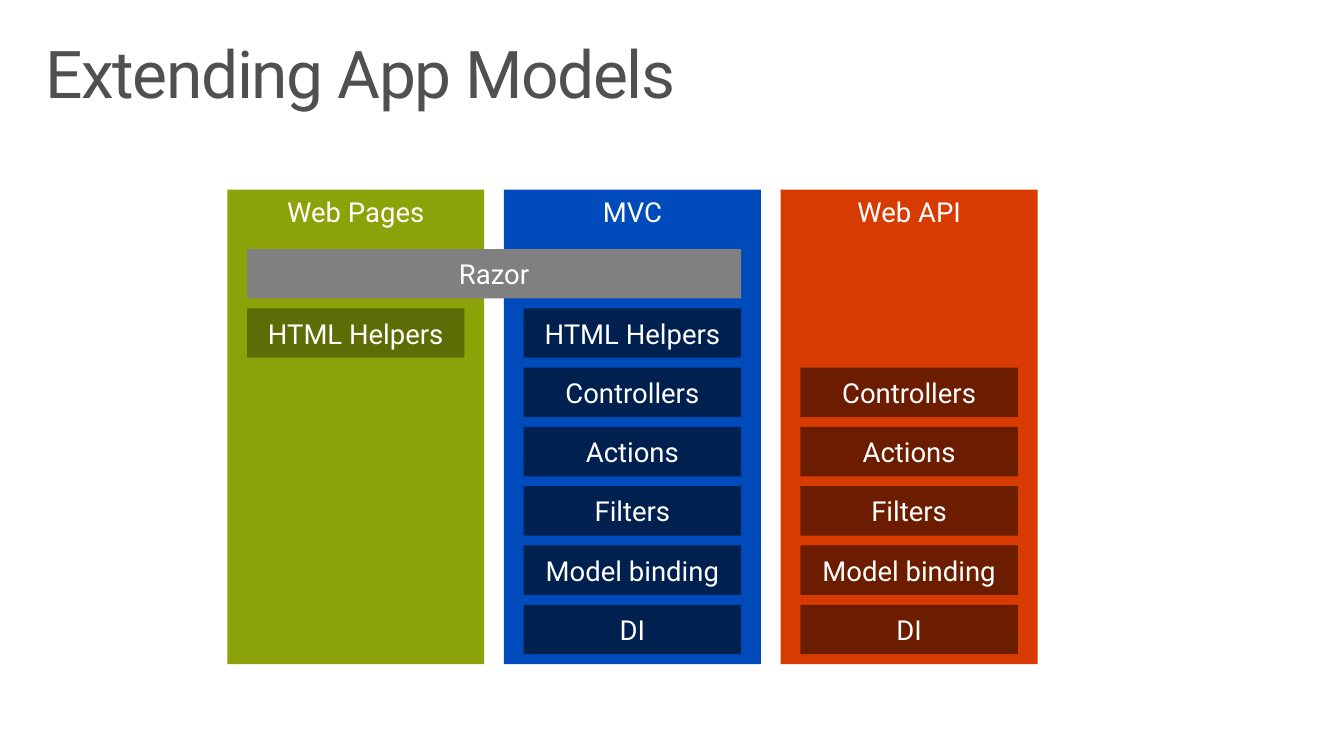
from pptx import Presentation
from pptx.dml.color import RGBColor
from pptx.enum.shapes import MSO_SHAPE
from pptx.enum.text import MSO_ANCHOR, PP_ALIGN
from pptx.util import Inches, Pt

THEME = {
    "font": "Roboto",
    "title": "505050",
    "label": "FFFFFF",
    "shared": "808080",
    "title size": 48,
    "label size": 20,
}
MODELS = [
    ("Web Pages", "8BA208", "5D6C05", 1, 1),
    ("MVC", "004BBC", "002050", 1, 6),
    ("Web API", "D83B01", "6C1D00", 2, 6),
]
PARTS = ["Razor", "HTML Helpers", "Controllers", "Actions", "Filters", "Model binding", "DI"]

LEFT, TOP = 2.3, 1.92
WIDE, TALL = 2.6, 4.8
STEP, PAD = 2.8, 0.2
FIRST, PITCH, HIGH = 2.52, 0.6, 0.5

deck = Presentation()
deck.slide_width, deck.slide_height = Inches(13.6), Inches(7.65)
slide = deck.slides.add_slide(deck.slide_layouts[6])


def write(frame, text, size, color, side, edge):
    frame.word_wrap = True
    frame.margin_left = frame.margin_right = Inches(side)
    frame.margin_top = frame.margin_bottom = Inches(edge)
    run = frame.paragraphs[0].add_run()
    run.text = text
    run.font.name = THEME["font"]
    run.font.size = Pt(THEME[size])
    run.font.color.rgb = RGBColor.from_string(THEME[color])
    return run


def block(x, y, w, h, fill, text, anchor=MSO_ANCHOR.MIDDLE):
    box = slide.shapes.add_shape(MSO_SHAPE.RECTANGLE, Inches(x), Inches(y), Inches(w), Inches(h))
    box.shadow.inherit = False
    box.fill.solid()
    box.fill.fore_color.rgb = RGBColor.from_string(fill)
    box.line.fill.background()
    box.text_frame.vertical_anchor = anchor
    write(box.text_frame, text, "label size", "label", 0, 0.05)
    box.text_frame.paragraphs[0].alignment = PP_ALIGN.CENTER


title = slide.shapes.add_textbox(Inches(0.3), Inches(0.32), Inches(13), Inches(1))
head = write(title.text_frame, "Extending App Models", "title size", "title", 0.16, 0.1)
head.font._element.set("spc", "-100")
title.text_frame.paragraphs[0].line_spacing = 0.9

for col, (name, fill, dark, start, end) in enumerate(MODELS):
    x = LEFT + col * STEP
    block(x, TOP, WIDE, TALL, fill, name, MSO_ANCHOR.TOP)
    for row in range(start, end + 1):
        block(x + PAD, FIRST + row * PITCH, WIDE - 2 * PAD, HIGH, dark, PARTS[row])

block(LEFT + PAD, FIRST, STEP + WIDE - 2 * PAD, HIGH, THEME["shared"], PARTS[0])

deck.save("out.pptx")
